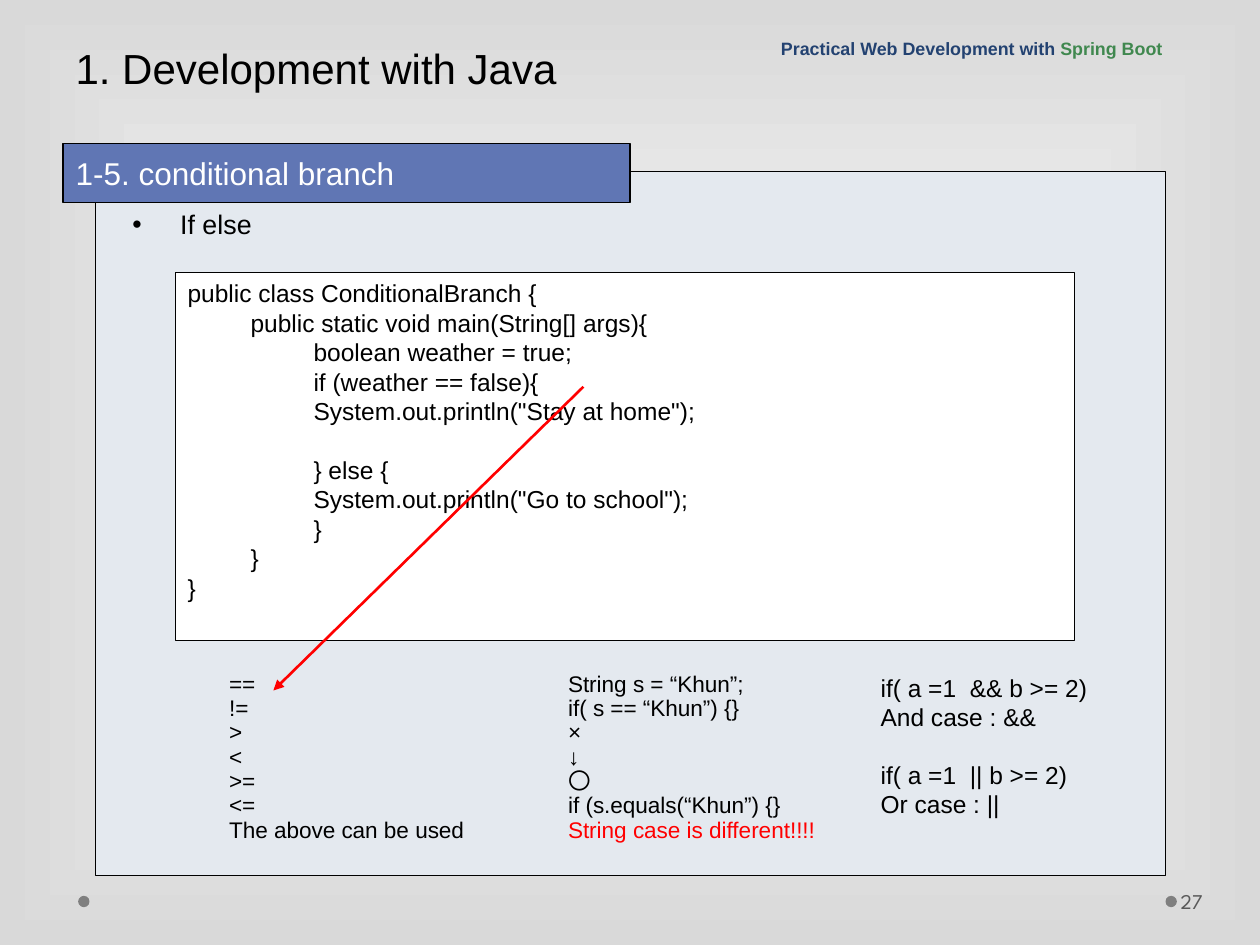
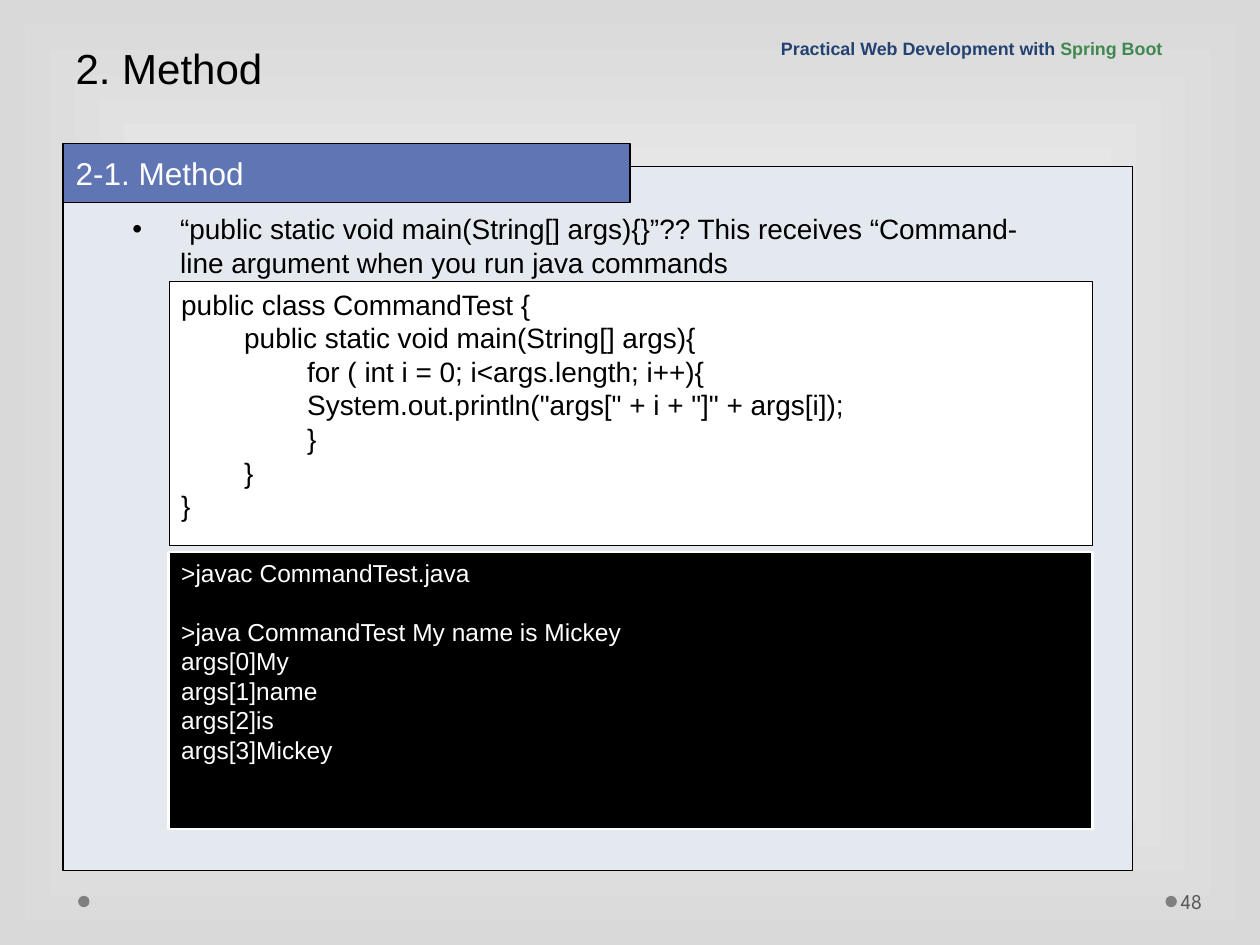
from lxml import etree
from pptx import Presentation
from pptx.dml.color import RGBColor
from pptx.enum.shapes import MSO_CONNECTOR, MSO_SHAPE
from pptx.enum.text import MSO_ANCHOR as ANCHOR, MSO_AUTO_SIZE, PP_ALIGN
from pptx.oxml.ns import qn
from pptx.util import Inches, Pt

COLORS = {
    "black": "000000", "white": "FFFFFF", "red": "FF0000",
    "edge": "D9D9D9", "panel": "E4E9EF", "section": "6076B4",
    "dot": "7F7F7F", "number": "595959", "navy": "234271", "green": "40884F",
}
TAB_STOPS = [0.5, 1]
HANGING = Inches(0.38)


def rgb(name):
    return RGBColor.from_string(COLORS[name])


def write(shape, lines, size, color="black", font="Arial", bold=False,
          bullet=False, frame_format=None, **paragraph_format):
    """Fill a shape with lines; a line is a string or a list of (text, color) runs."""
    frame = shape.text_frame
    frame_values = {"word_wrap": True, "auto_size": MSO_AUTO_SIZE.NONE,
                    "vertical_anchor": ANCHOR.TOP, **(frame_format or {})}
    for name, value in frame_values.items():
        setattr(frame, name, value)
    paragraph_values = {"alignment": PP_ALIGN.LEFT, "space_before": Pt(0),
                        "line_spacing": 1.0, **paragraph_format}
    for index, line in enumerate(lines):
        paragraph = frame.add_paragraph() if index else frame.paragraphs[0]
        properties = paragraph._p.get_or_add_pPr()
        properties.set("marL", str(HANGING if bullet else 0))
        properties.set("indent", str(-HANGING if bullet else 0))
        if bullet:
            etree.SubElement(properties, qn("a:buChar"), char="•")
        else:
            etree.SubElement(properties, qn("a:buNone"))
        tab_list = etree.SubElement(properties, qn("a:tabLst"))
        for stop in TAB_STOPS:
            etree.SubElement(tab_list, qn("a:tab"), pos=str(Inches(stop)), algn="l")
        for name, value in paragraph_values.items():
            setattr(paragraph, name, value)
        for text, run_color in [(line, color)] if isinstance(line, str) else line:
            run = paragraph.add_run()
            run.text = text
            run.font.color.rgb = rgb(run_color)
            for name, value in {"name": font, "size": Pt(size), "bold": bold}.items():
                setattr(run.font, name, value)


LESSONS = [
    {
        "title": "1. Development with Java",
        "section": "1-5. conditional branch",
        "page": "27",
        "panel": (0.76, 1.36),
        "topic": "If else",
        "topic_box": (0.95, 1.63, 6.76, 0.37),
        "topic_format": {"size": 15.3, "line_spacing": 0.9},
        "listings": [
            {"box": (1.39, 2.16, 7.14, 2.92), "size": 14, "fill": "white",
             "ink": "black", "line_width": 0.25, "code": [
                 "public class ConditionalBranch {",
                 "\tpublic static void main(String[] args){",
                 "\t\tboolean weather = true;",
                 "\t\tif (weather == false){",
                 '\t\tSystem.out.println("Stay at home");',
                 "",
                 "\t\t} else {",
                 '\t\tSystem.out.println("Go to school");',
                 "\t\t}",
                 "\t}",
                 "}"]},
        ],
    },
    {
        "title": "2. Method",
        "section": "2-1. Method",
        "page": "48",
        "panel": (0.5, 1.32),
        "topic": "“public static void main(String[] args){}”?? This receives "
                 "“Command-line argument when you run java commands",
        "topic_box": (0.95, 1.63, 7.52, 1.06),
        "topic_format": {"size": 16},
        "listings": [
            {"box": (1.34, 2.23, 7.33, 2.1), "size": 16, "fill": "white",
             "ink": "black", "line_width": 0.25, "code": [
                 "public class CommandTest {",
                 "\tpublic static void main(String[] args){",
                 "\t\tfor ( int i = 0; i<args.length; i++){",
                 '\t\tSystem.out.println("args[" + i + "]" + args[i]);',
                 "\t\t}",
                 "\t}",
                 "}"]},
            {"box": (1.34, 4.38, 7.33, 2.2), "size": 14, "fill": "black",
             "ink": "white", "line_width": 1.5, "code": [
                 ">javac CommandTest.java",
                 "",
                 ">java CommandTest My name is Mickey",
                 "args[0]My",
                 "args[1]name",
                 "args[2]is",
                 "args[3]Mickey"]},
        ],
    },
]

prs = Presentation()
prs.slide_width, prs.slide_height = Inches(10), Inches(7.5)

# Shared background: light centre fading to grey edges
master = prs.slide_master
backdrop = master.background.fill
backdrop.gradient()
for stop, color in zip(backdrop.gradient_stops, ["white", "edge"]):
    stop.color.rgb = rgb(color)
gradient = master.element.find(".//" + qn("p:bgPr") + "/" + qn("a:gradFill"))
gradient.remove(gradient.find(qn("a:lin")))
radiance = etree.SubElement(gradient, qn("a:path"), {"path": "rect"})
etree.SubElement(radiance, qn("a:fillToRect"),
                 dict.fromkeys("ltrb", "50000"))

for lesson in LESSONS:
    slide = prs.slides.add_slide(prs.slide_layouts[3])
    shapes = slide.shapes
    title, section, topic = slide.placeholders
    placements = [(title, (0.5, 0, 9, 0.79)), (section, (0.5, 1.14, 4.5, 0.47)),
                  (topic, lesson["topic_box"])]
    for placeholder, box in placements:
        for name, value in zip(["left", "top", "width", "height"], box):
            setattr(placeholder, name, Inches(value))

    write(title, [lesson["title"]], 24, line_spacing=Pt(58),
          frame_format={"vertical_anchor": ANCHOR.BOTTOM})
    write(section, [lesson["section"]], 18, "white",
          frame_format={"vertical_anchor": ANCHOR.MIDDLE})
    write(topic, [lesson["topic"]], bullet=True, **lesson["topic_format"])

    panel = shapes.add_shape(MSO_SHAPE.RECTANGLE, *map(Inches, lesson["panel"]),
                             Inches(8.49), Inches(5.59))
    panel.shadow.inherit = False
    title.element.addprevious(panel.element)
    for block, fill in [(panel, "panel"), (section, "section")]:
        block.fill.solid()
        block.fill.fore_color.rgb = rgb(fill)
        block.line.color.rgb = rgb("black")
        block.line.width = Pt(0.75)

    for dot_left in [0.62, 9.25]:
        dot = shapes.add_shape(MSO_SHAPE.OVAL, Inches(dot_left), Inches(7.11),
                               Inches(0.09), Inches(0.09))
        dot.shadow.inherit = False
        dot.fill.solid()
        dot.fill.fore_color.rgb = rgb("dot")
        dot.line.fill.background()

    page = shapes.add_textbox(*map(Inches, (9.34, 6.95, 0.61, 0.4)))
    write(page, [lesson["page"]], 12, "number", "League Spartan",
          frame_format={"vertical_anchor": ANCHOR.MIDDLE,
                        "margin_left": Inches(0.03), "margin_right": Inches(0.05)})
    course = shapes.add_textbox(*map(Inches, (6.1, 0.24, 3.9, 0.28)))
    write(course, [[("Practical Web Development with ", "navy"),
                    ("Spring Boot", "green")]], 10.2, bold=True, line_spacing=0.9,
          frame_format={"vertical_anchor": ANCHOR.BOTTOM})

    for listing in lesson["listings"]:
        code = shapes.add_shape(MSO_SHAPE.RECTANGLE, *map(Inches, listing["box"]))
        code.shadow.inherit = False
        code.fill.solid()
        code.fill.fore_color.rgb = rgb(listing["fill"])
        code.line.color.rgb = rgb(listing["ink"])
        code.line.width = Pt(listing["line_width"])
        write(code, listing["code"], listing["size"], listing["ink"])

# Notes on comparing values, below the first listing
branch_shapes = prs.slides[0].shapes
comparisons = [
    (1.72, 2.43, 12.9, 0.9,
     ["==", "!=", ">", "<", ">=", "<=", "The above can be used"]),
    (4.41, 2.61, 12.9, 0.9,
     ["String s = “Khun”;", "if( s == “Khun”) {}", "×", "↓", "〇",
      "if (s.equals(“Khun”) {}", [("String case is different!!!!", "red")]]),
    (6.89, 2.35, 14, 1.0,
     ["if( a =1  && b >= 2)", "And case : &&",
      "if( a =1  || b >= 2)", "Or case : ||"]),
]
for left, width, size, spacing, lines in comparisons:
    comparison = branch_shapes.add_textbox(Inches(left), Inches(5.29),
                                           Inches(width), Inches(1.66))
    write(comparison, lines, size, line_spacing=spacing)
# The last column holds two cases, set apart by one line
comparison.text_frame.paragraphs[2].space_before = Pt(16)

operator_arrow = branch_shapes.add_connector(
    MSO_CONNECTOR.STRAIGHT, *map(Inches, (4.63, 3.07, 2.17, 5.48)))
operator_arrow.line.color.rgb = rgb("red")
operator_arrow.line.width = Pt(1.5)
etree.SubElement(operator_arrow.line._get_or_add_ln(), qn("a:tailEnd"), type="triangle")
etree.SubElement(operator_arrow.element.spPr, qn("a:effectLst"))

prs.save("out.pptx")
